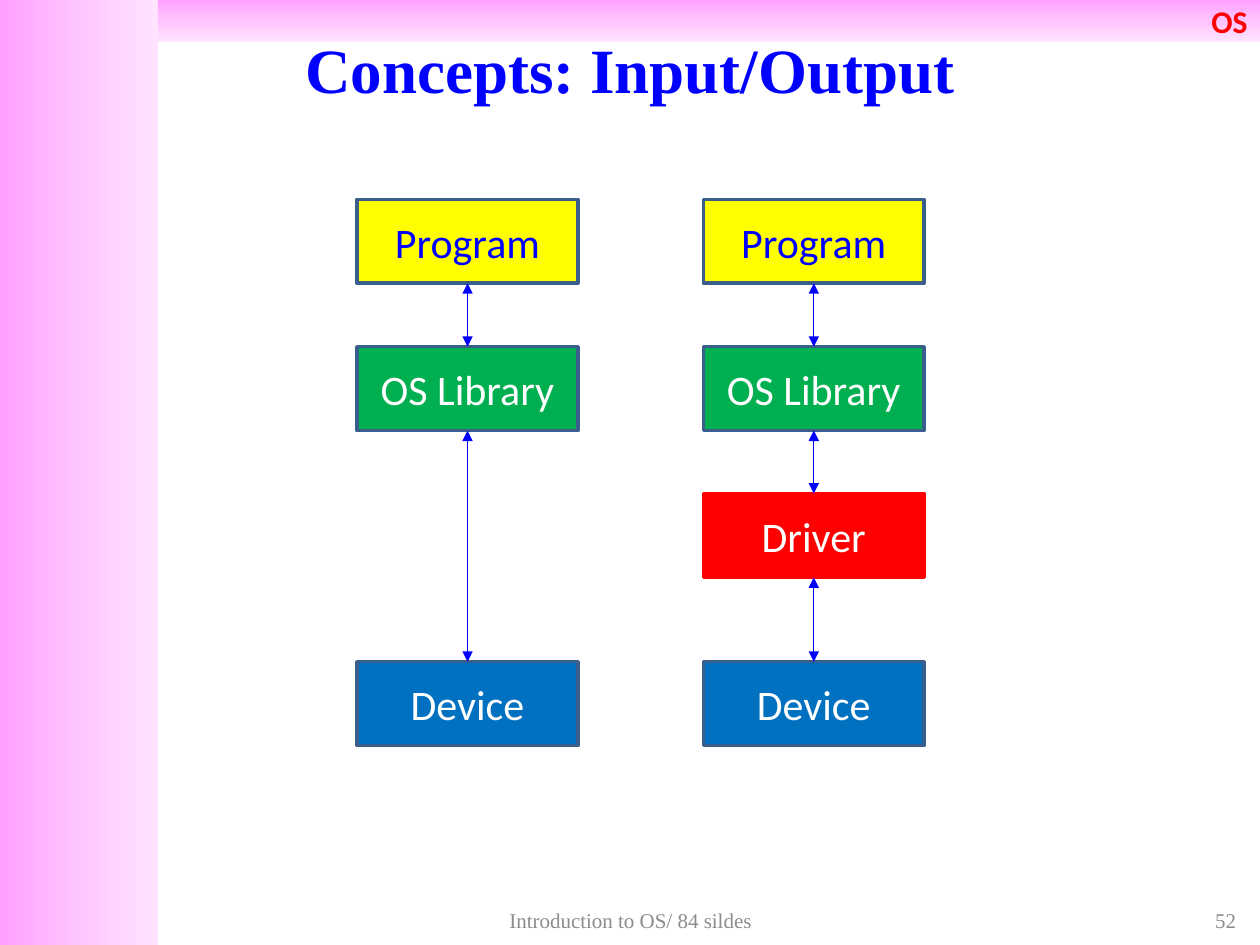
from copy import deepcopy
from typing import NamedTuple

from lxml import etree
from pptx import Presentation
from pptx.dml.color import RGBColor
from pptx.enum.shapes import MSO_CONNECTOR, MSO_SHAPE
from pptx.enum.text import MSO_ANCHOR, PP_ALIGN
from pptx.oxml.ns import qn
from pptx.util import Cm, Pt

RECTANGLE = MSO_SHAPE.RECTANGLE
STRAIGHT = MSO_CONNECTOR.STRAIGHT
MIDDLE = MSO_ANCHOR.MIDDLE
CENTER, RIGHT = PP_ALIGN.CENTER, PP_ALIGN.RIGHT
BOTTOM_SIDE, TOP_SIDE = 2, 0

BLUE = RGBColor(0x00, 0x00, 0xFF)
RED = RGBColor(0xFF, 0x00, 0x00)
YELLOW = RGBColor(0xFF, 0xFF, 0x00)
GREEN = RGBColor(0x00, 0xB0, 0x50)
DEVICE_BLUE = RGBColor(0x00, 0x70, 0xC0)
OUTLINE = RGBColor(0x3A, 0x5F, 0x8C)
WHITE = RGBColor(0xFF, 0xFF, 0xFF)
GRAY = RGBColor(0x8C, 0x8C, 0x8C)
PINKS = (RGBColor(0xFF, 0xA0, 0xFF), RGBColor(0xFF, 0xC5, 0xFF),
         RGBColor(0xFF, 0xE3, 0xFF))

SANS, SERIF = "Calibri", "Times New Roman"
PAGE_WIDTH, PAGE_HEIGHT = 25.4, 19.05
SIDEBAR_WIDTH, BANNER_HEIGHT = 3.18, 0.84
BOX_WIDTH, BOX_HEIGHT = 4.45, 1.69


class Area(NamedTuple):
    """Position and size in centimetres."""
    left: float
    top: float
    width: float
    height: float


class Style(NamedTuple):
    font: str
    size: int
    color: RGBColor
    align: PP_ALIGN = CENTER
    bold: bool = False


class Layer(NamedTuple):
    label: str
    top: float
    fill: RGBColor
    line: RGBColor = OUTLINE
    text: RGBColor = WHITE


class Label(NamedTuple):
    text: str
    area: Area
    style: Style


PROGRAM = Layer("Program", 4.02, YELLOW, text=BLUE)
LIBRARY = Layer("OS Library", 6.99, GREEN)
DRIVER = Layer("Driver", 9.95, RED, line=RED)
DEVICE = Layer("Device", 13.34, DEVICE_BLUE)

# Left edge of each stack and its layers from top to bottom
STACKS = (
    (7.2, (PROGRAM, LIBRARY, DEVICE)),
    (14.18, (PROGRAM, LIBRARY, DRIVER, DEVICE)),
)

FOOTER_TOP, FOOTER_HEIGHT = 18.21, 0.69
LABELS = (
    Label("Concepts: Input/Output", Area(0, 0, PAGE_WIDTH, 2.74),
          Style(SERIF, 36, BLUE, bold=True)),
    Label("Introduction to OS/ 84 sildes",
          Area(8.69, FOOTER_TOP, 8.05, FOOTER_HEIGHT), Style(SERIF, 12, GRAY)),
    Label("52", Area(19.25, FOOTER_TOP, 5.92, FOOTER_HEIGHT),
          Style(SERIF, 12, GRAY, RIGHT)),
)


def write(shape, text: str, style: Style) -> None:
    frame = shape.text_frame
    frame.word_wrap = True
    frame.vertical_anchor = MIDDLE
    para = frame.paragraphs[0]
    para.text = text
    para.alignment = style.align
    para.font.name = style.font
    para.font.size = Pt(style.size)
    para.font.bold = style.bold
    para.font.color.rgb = style.color


def add_rectangle(page, area: Area):
    shape = page.shapes.add_shape(RECTANGLE, *map(Cm, area))
    shape.shadow.inherit = False
    return shape


def add_gradient_band(page, area: Area, angle: int):
    band = add_rectangle(page, area)
    band.line.fill.background()
    band.fill.gradient()
    band.fill.gradient_angle = angle
    # The default gradient has two stops; a third is needed
    stop_list = band.fill._fill._gradFill.find(qn("a:gsLst"))
    stop_list.append(deepcopy(stop_list[-1]))
    for index, (stop, color) in enumerate(zip(band.fill.gradient_stops, PINKS)):
        stop.position = index / 2
        stop.color.rgb = color
    return band


def add_layer(page, left: float, layer: Layer):
    box = add_rectangle(page, Area(left, layer.top, BOX_WIDTH, BOX_HEIGHT))
    box.fill.solid()
    box.fill.fore_color.rgb = layer.fill
    box.line.color.rgb = layer.line
    box.line.width = Pt(2)
    write(box, layer.label, Style(SANS, 24, layer.text))
    return box


def add_double_arrow(page, upper, lower) -> None:
    arrow = page.shapes.add_connector(STRAIGHT, 0, 0, 0, 0)
    arrow.begin_connect(upper, BOTTOM_SIDE)
    arrow.end_connect(lower, TOP_SIDE)
    arrow.line.color.rgb = BLUE
    arrow.line.width = Pt(0.75)
    line = arrow.line._get_or_add_ln()
    for end in ("a:headEnd", "a:tailEnd"):
        etree.SubElement(line, qn(end), type="triangle")
    etree.SubElement(arrow._element.spPr, qn("a:effectLst"))


def main() -> None:
    deck = Presentation()
    deck.slide_width, deck.slide_height = Cm(PAGE_WIDTH), Cm(PAGE_HEIGHT)
    page = deck.slides.add_slide(deck.slide_layouts[6])

    # Pink sidebar and top banner
    add_gradient_band(page, Area(0, 0, SIDEBAR_WIDTH, PAGE_HEIGHT), 0)
    banner = add_gradient_band(
        page, Area(SIDEBAR_WIDTH, 0, PAGE_WIDTH - SIDEBAR_WIDTH, BANNER_HEIGHT), 270)
    write(banner, "OS", Style(SANS, 18, RED, RIGHT, bold=True))

    # Title, footer and page number
    for label in LABELS:
        write(page.shapes.add_textbox(*map(Cm, label.area)), label.text, label.style)

    # Stacks of layers joined by arrows
    for left, layers in STACKS:
        boxes = [add_layer(page, left, layer) for layer in layers]
        for upper, lower in zip(boxes, boxes[1:]):
            add_double_arrow(page, upper, lower)

    deck.save("out.pptx")


if __name__ == "__main__":
    main()
